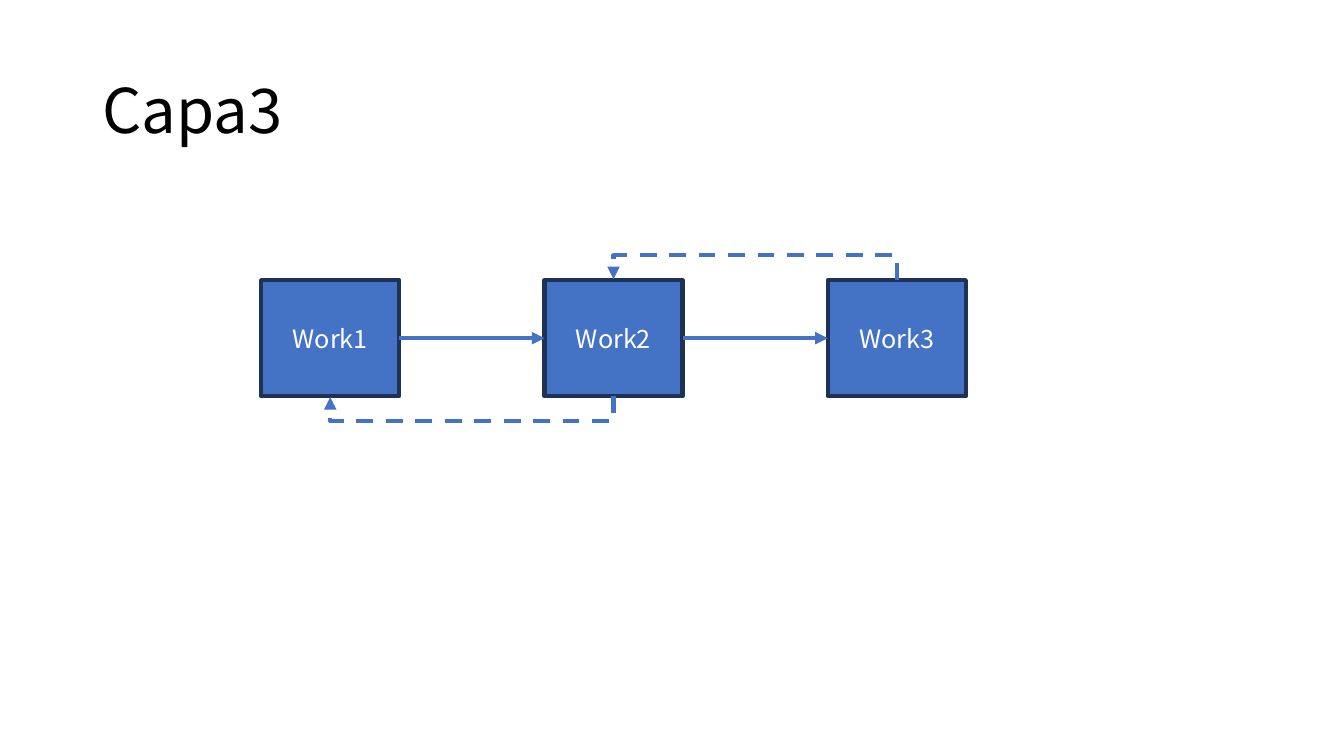
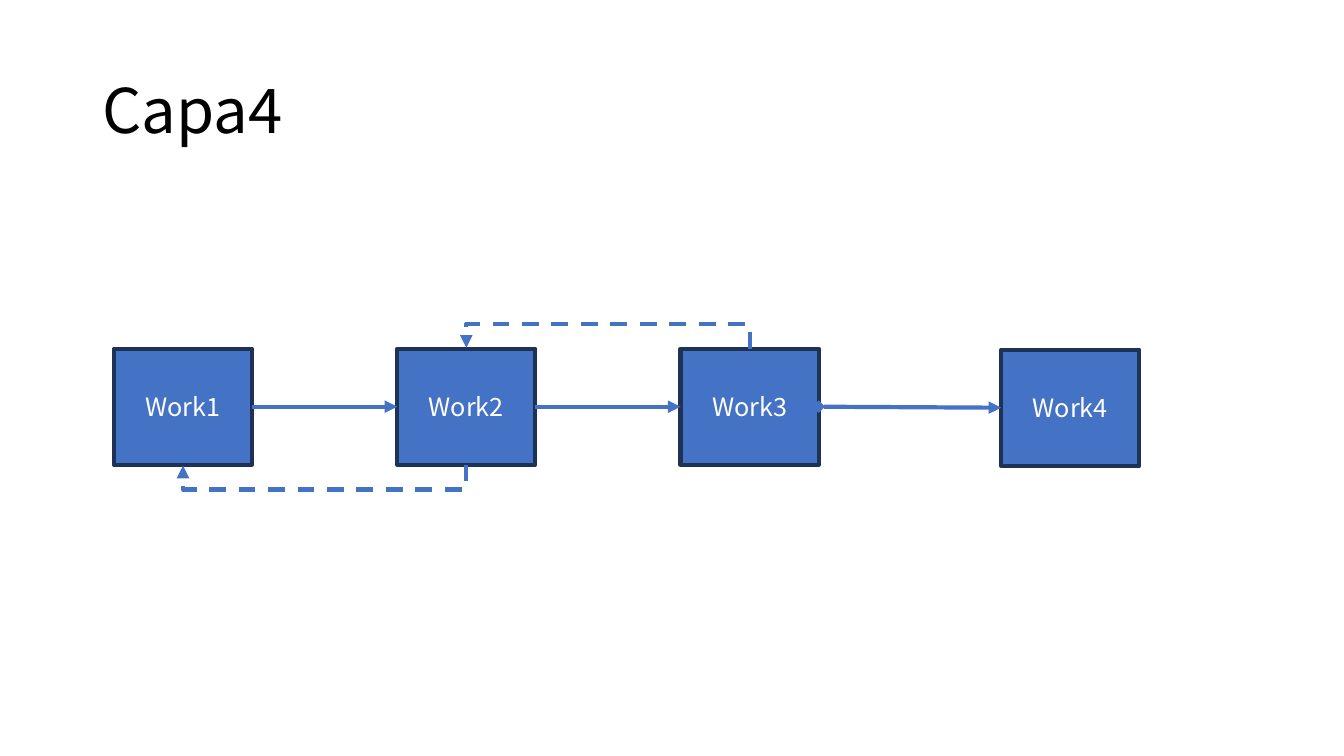
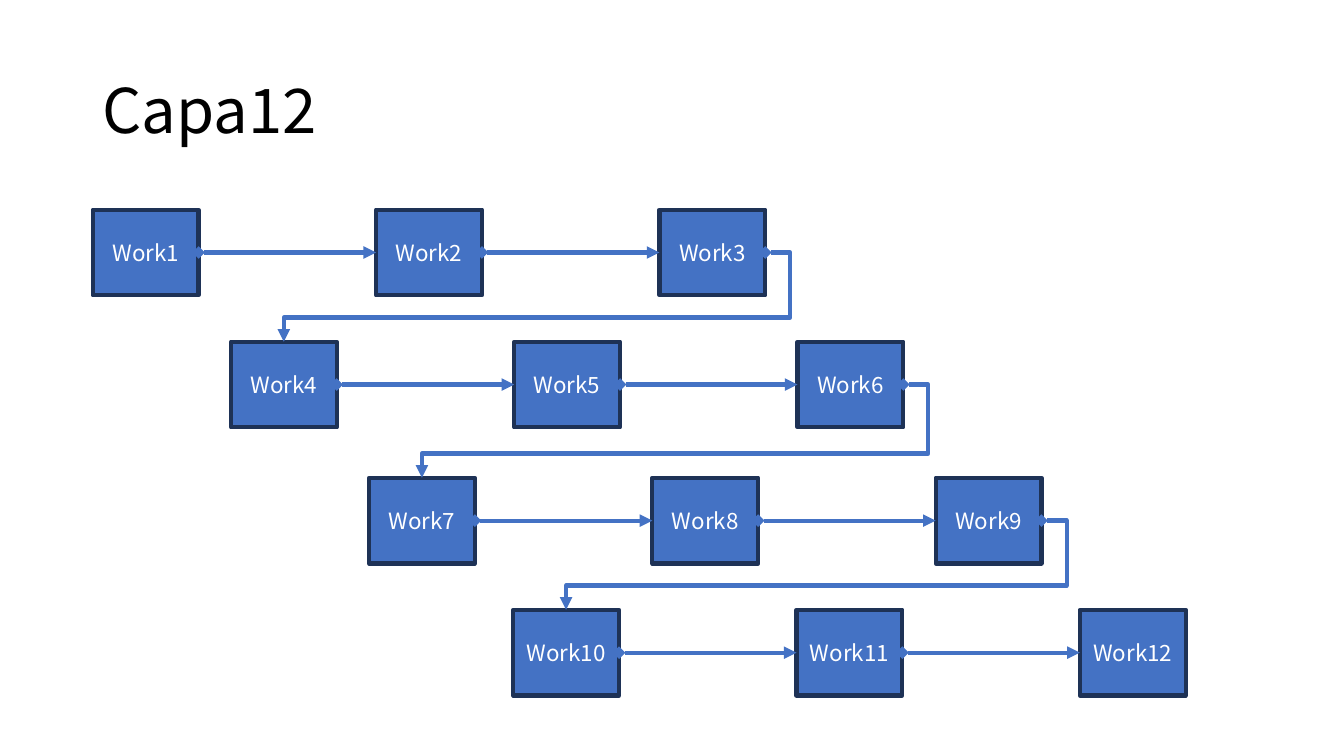
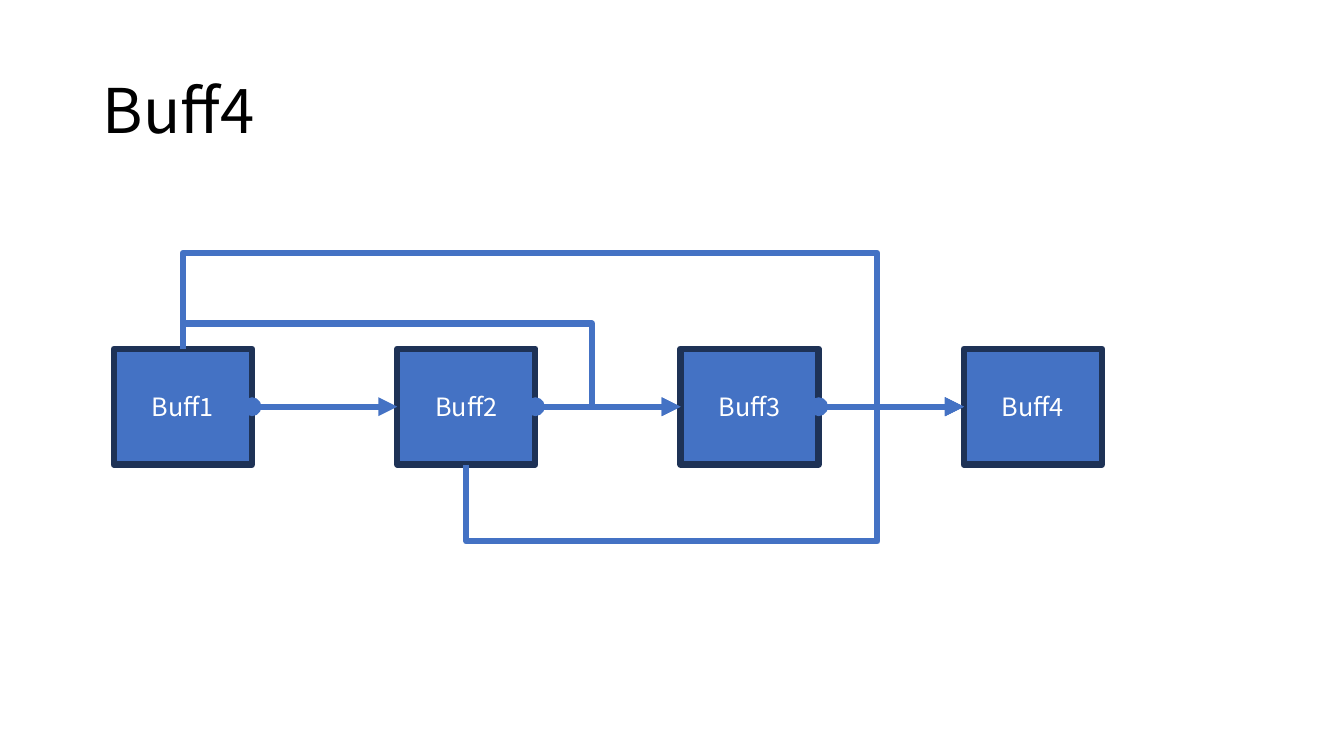
from lxml import etree
from pptx import Presentation
from pptx.dml.color import RGBColor
from pptx.enum.dml import MSO_LINE
from pptx.enum.shapes import MSO_CONNECTOR, MSO_SHAPE
from pptx.enum.text import MSO_ANCHOR, PP_ALIGN
from pptx.oxml.ns import qn
from pptx.util import Inches, Pt

STRAIGHT, ELBOW = MSO_CONNECTOR.STRAIGHT, MSO_CONNECTOR.ELBOW
RECTANGLE = MSO_SHAPE.RECTANGLE
DASH = MSO_LINE.DASH
MIDDLE = MSO_ANCHOR.MIDDLE
LEFT, CENTER = PP_ALIGN.LEFT, PP_ALIGN.CENTER

FONT = "Noto Sans CJK KR"
COLORS = {"title": "000000", "box": "4472C4", "border": "1E3256",
          "label": "FFFFFF", "arrow": "4472C4"}
PITCH = 2.81       # distance between the left edges of neighbouring boxes
LARGE_BOX = (1.37, 1.15)
SMALL_BOX = (1.05, 0.85)
LOOP = 0.25        # how far a bent arrow stands off a box
NUDGE = 0.01       # keeps a loop's frame from having zero size
LEFT_SITE, RIGHT_SITE = 1, 3


def color(name):
    return RGBColor.from_string(COLORS[name])


# Text and boxes
def write(shape, text, size, color_name, align=LEFT, spacing=None):
    frame = shape.text_frame
    frame.word_wrap = True
    frame.vertical_anchor = MIDDLE
    para = frame.paragraphs[0]
    para.alignment = align
    para.line_spacing = spacing
    span = para.add_run()
    span.text = text
    span.font.size = Pt(size)
    span.font.name = FONT
    span.font.color.rgb = color(color_name)


def add_page(deck, title):
    page = deck.slides.add_slide(deck.slide_layouts[6])
    box = page.shapes.add_textbox(Inches(0.92), Inches(0.4), Inches(11.5), Inches(1.45))
    write(box, title, 44, "title", spacing=0.9)
    return page


def add_box(page, text, left, top, size, font_size, weight):
    box = page.shapes.add_shape(RECTANGLE, Inches(left), Inches(top), *map(Inches, size))
    box.shadow.inherit = False
    box.fill.solid()
    box.fill.fore_color.rgb = color("box")
    box.line.color.rgb = color("border")
    box.line.width = Pt(weight)
    write(box, text, font_size, "label", CENTER)
    return box


def add_row(page, labels, left, top, size=LARGE_BOX, font_size=18, weight=3):
    return [add_box(page, label, left + i * PITCH, top, size, font_size, weight)
            for i, label in enumerate(labels)]


# Points on a box, in inches
def top_of(box):
    return (box.left + box.width / 2) / Inches(1), box.top.inches


def bottom_of(box):
    x, y = top_of(box)
    return x, y + box.height.inches


def left_of(box):
    return box.left.inches, (box.top + box.height / 2) / Inches(1)


def right_of(box):
    x, y = left_of(box)
    return x + box.width.inches, y


# Arrows
def style_arrow(arrow, weight, head=None, dash=None):
    arrow.line.color.rgb = color("arrow")
    arrow.line.width = Pt(weight)
    if dash:
        arrow.line.dash_style = dash
    line = arrow.line._get_or_add_ln()
    if head:
        etree.SubElement(line, qn("a:headEnd"), type=head)
    etree.SubElement(line, qn("a:tailEnd"), type="triangle")
    etree.SubElement(arrow._element.spPr, qn("a:effectLst"))


def link(page, boxes, weight=3, head=None):
    """Join each box to the next with a straight glued arrow."""
    for first, second in zip(boxes, boxes[1:]):
        arrow = page.shapes.add_connector(STRAIGHT, 0, 0, 0, 0)
        arrow.begin_connect(first, RIGHT_SITE)
        arrow.end_connect(second, LEFT_SITE)
        style_arrow(arrow, weight, head)


def add_bent(page, start, via, end, weight=3, head=None, dash=None):
    """Draw an elbow arrow through two or three corner points."""
    dx, dy = via[0][0] - start[0], via[0][1] - start[1]
    turn = 0 if abs(dx) > abs(dy) else 90 if dy > 0 else 270

    def local(point):
        x, y = point[0] - start[0], point[1] - start[1]
        return {0: (x, y), 90: (y, -x), 270: (-y, x)}[turn]

    # The frame is laid out unturned about its centre, then rotated
    width, height = local(end)
    center_x, center_y = (start[0] + end[0]) / 2, (start[1] + end[1]) / 2
    arrow = page.shapes.add_connector(
        ELBOW, Inches(center_x - width / 2), Inches(center_y - height / 2),
        Inches(center_x + width / 2), Inches(center_y + height / 2))
    properties = arrow._element.spPr
    if turn:
        properties.find(qn("a:xfrm")).set("rot", str(turn * 60000))

    # Corner positions are given as shares of the frame
    shares = [local(via[0])[0] / width]
    if len(via) == 3:
        shares.append(local(via[1])[1] / height)
    geometry = properties.find(qn("a:prstGeom"))
    geometry.set("prst", f"bentConnector{len(via) + 1}")
    guides = geometry.find(qn("a:avLst"))
    if guides is None:
        guides = etree.SubElement(geometry, qn("a:avLst"))
    for number, share in enumerate(shares, 1):
        etree.SubElement(guides, qn("a:gd"), name=f"adj{number}",
                         fmla=f"val {round(share * 100000)}")
    style_arrow(arrow, weight, head, dash)


def add_loop(page, start, end, side):
    """Draw a dashed return arrow above (side -1) or below (side 1)."""
    level = start[1] + side * LOOP
    add_bent(page, start, [(start[0], level), (end[0], level)],
             (end[0], end[1] + side * NUDGE), dash=DASH)


def add_returns(page, boxes):
    first, second, third = boxes[:3]
    add_loop(page, top_of(third), top_of(second), -1)
    add_loop(page, bottom_of(second), bottom_of(first), 1)


def add_feed(page, start, end, level, back):
    """Leave a box at its top or bottom and join the row before a later box."""
    corner = end[0] - back
    add_bent(page, start, [(start[0], level), (corner, level), (corner, end[1])],
             end, weight=4.5)


def add_wrap(page, last, first):
    """Lead from the end of one row to the start of the next."""
    start, end = right_of(last), top_of(first)
    edge, level = start[0] + LOOP, end[1] - 0.24
    add_bent(page, start, [(edge, start[1]), (edge, level), (end[0], level)],
             end, head="diamond")


# Pages
def names(word, first, last):
    return [f"{word}{number}" for number in range(first, last + 1)]


def build_three(deck):
    page = add_page(deck, "Capa3")
    boxes = add_row(page, names("Work", 1, 3), 2.59, 2.78)
    link(page, boxes)
    add_returns(page, boxes)


def build_four(deck):
    page = add_page(deck, "Capa4")
    boxes = add_row(page, names("Work", 1, 3), 1.13, 3.46)
    link(page, boxes)
    add_returns(page, boxes)
    extra = add_row(page, ["Work4"], 9.93, 3.47)
    link(page, boxes[-1:] + extra, head="diamond")


def build_twelve(deck):
    page = add_page(deck, "Capa12")
    previous = None
    corners = [(0.92, 2.08), (2.29, 3.39), (3.66, 4.74), (5.09, 6.05)]
    for index, (left, top) in enumerate(corners):
        labels = names("Work", 3 * index + 1, 3 * index + 3)
        boxes = add_row(page, labels, left, top, SMALL_BOX, 16)
        link(page, boxes, head="diamond")
        if previous:
            add_wrap(page, previous[-1], boxes[0])
        previous = boxes


def build_buffers(deck):
    page = add_page(deck, "Buff4")
    boxes = add_row(page, names("Buff", 1, 4), 1.13, 3.46, weight=4.5)
    link(page, boxes, weight=4.5, head="oval")
    first, second, third, fourth = boxes
    add_feed(page, top_of(first), left_of(third), 3.21, 0.88)
    add_feed(page, bottom_of(second), left_of(fourth), 5.37, 0.86)
    add_feed(page, top_of(first), left_of(fourth), 2.51, 0.86)


def main():
    deck = Presentation()
    deck.slide_width, deck.slide_height = Inches(13.33), Inches(7.5)
    build_three(deck)
    build_four(deck)
    build_twelve(deck)
    build_buffers(deck)
    deck.save("out.pptx")


if __name__ == "__main__":
    main()
